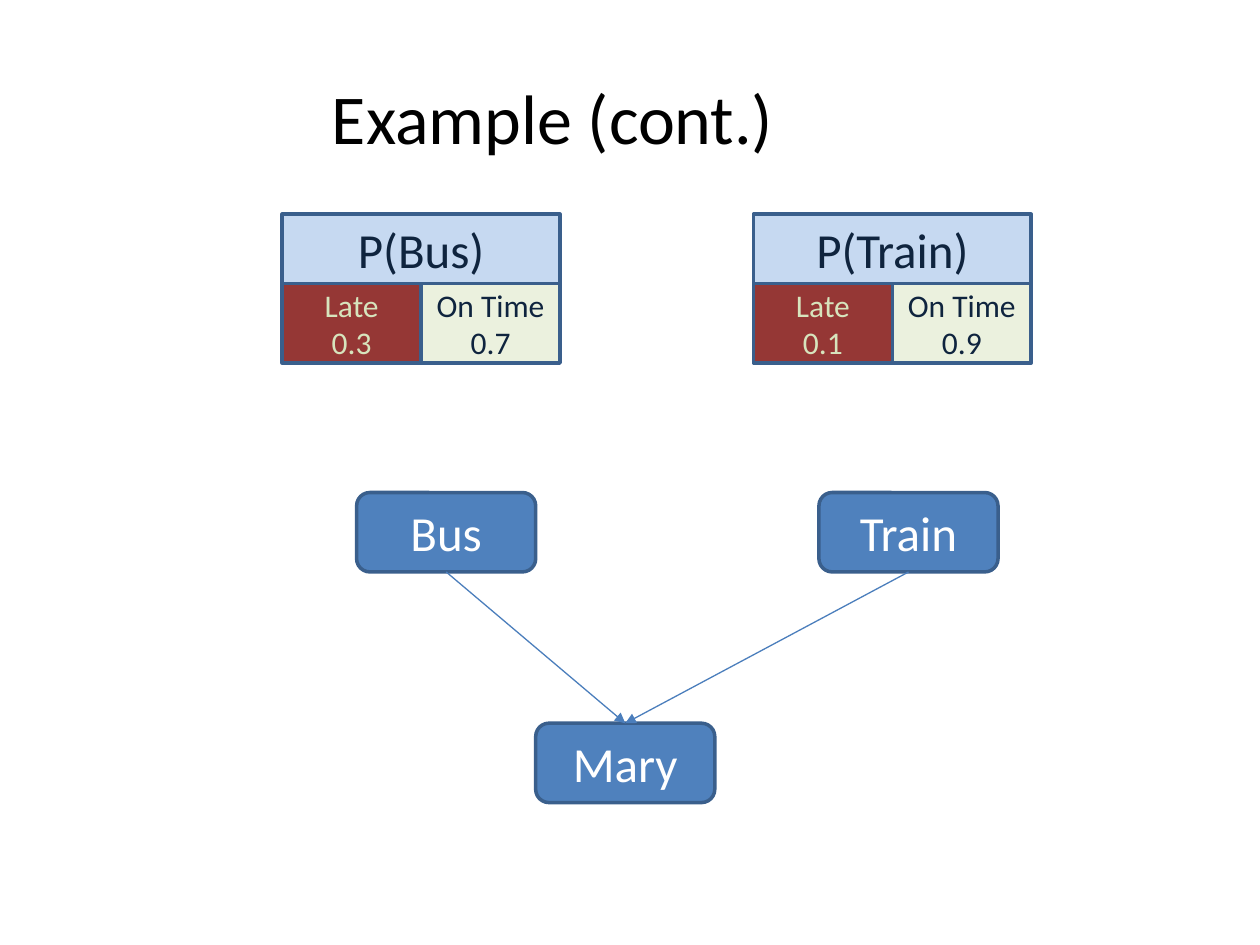
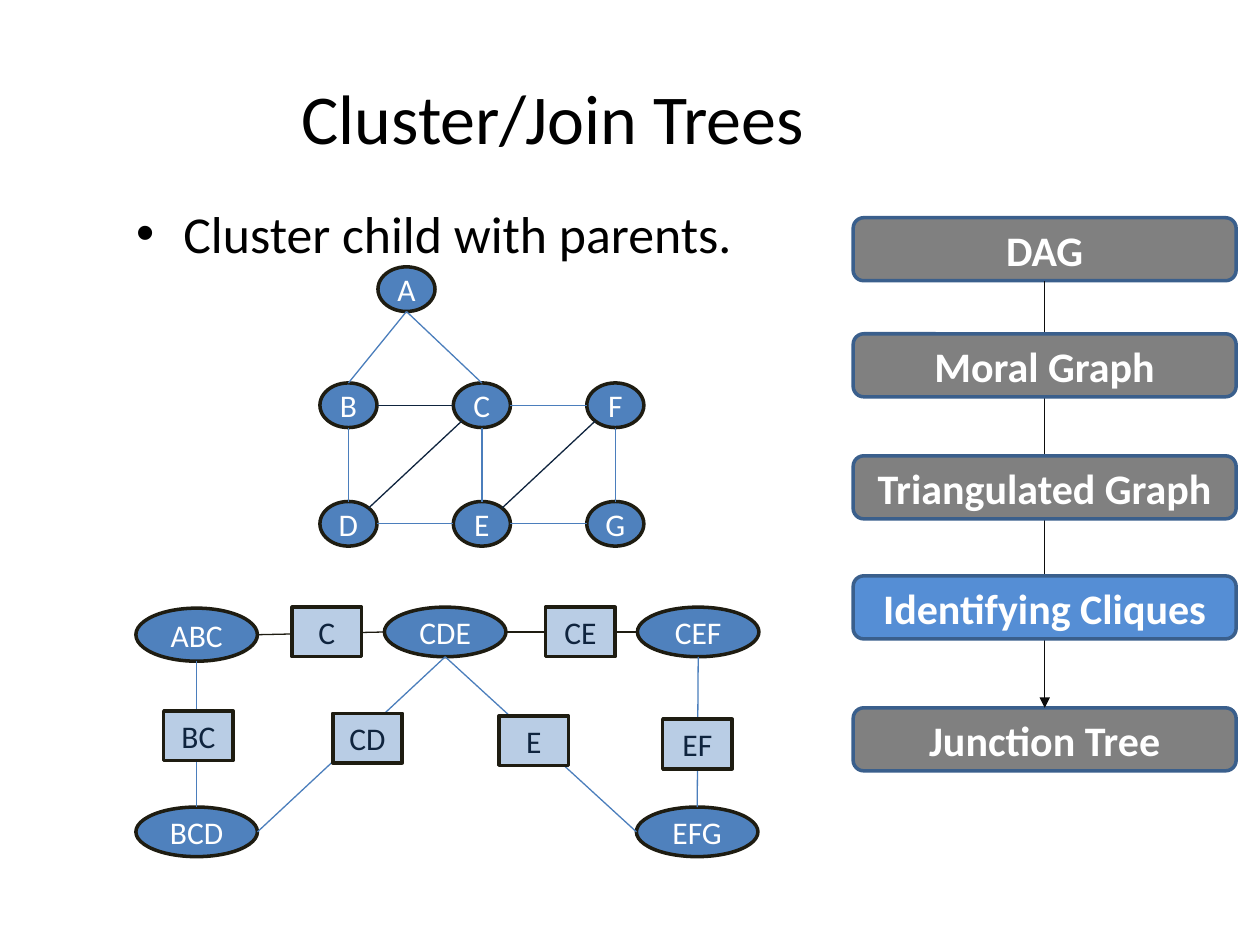
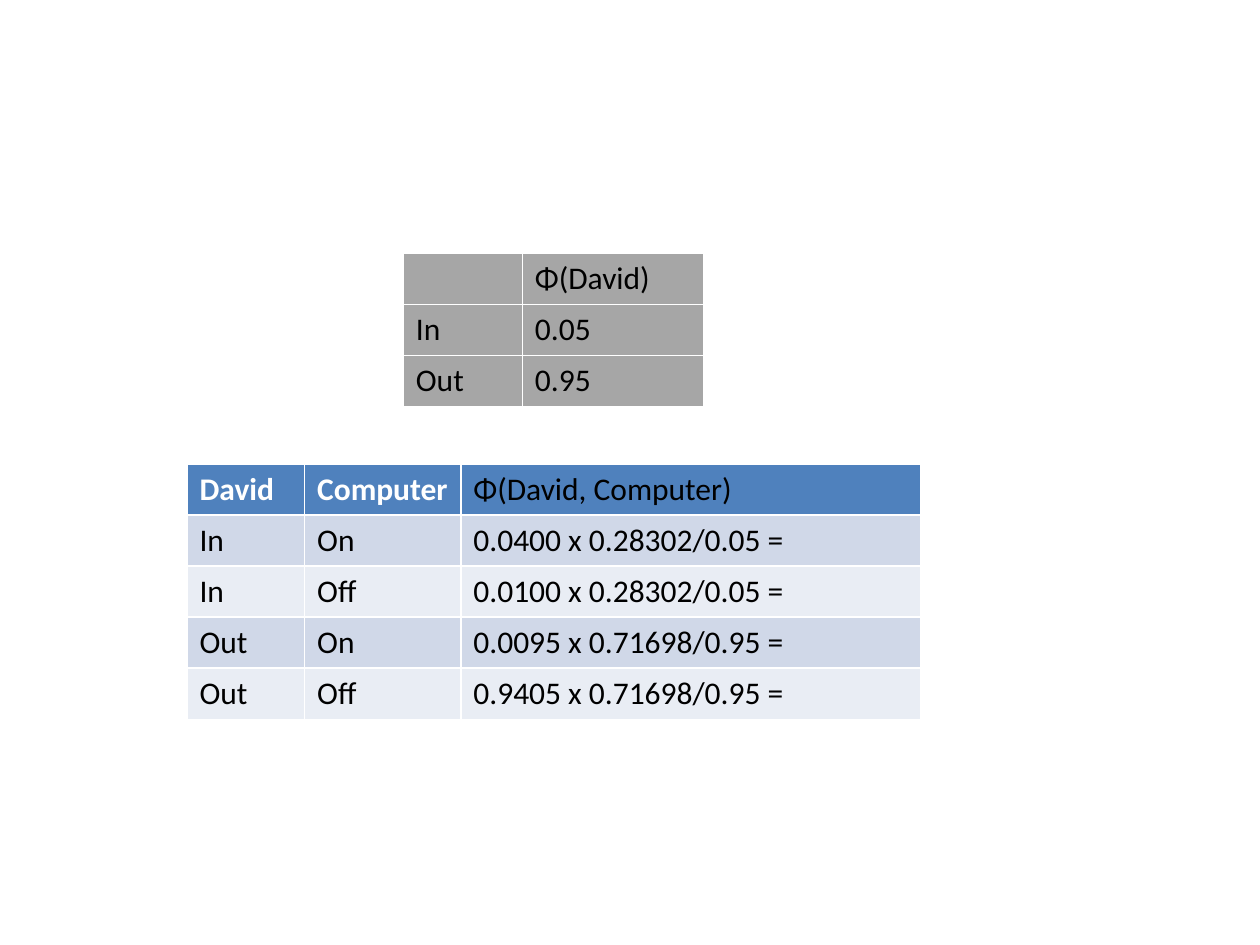
from lxml.etree import SubElement
from pptx import Presentation
from pptx.dml.color import RGBColor
from pptx.enum.shapes import MSO_CONNECTOR, MSO_SHAPE
from pptx.enum.text import MSO_ANCHOR, PP_ALIGN
from pptx.oxml.ns import qn
from pptx.util import Cm, Pt

FONT = "Calibri"
BLACK = RGBColor(0x00, 0x00, 0x00)
WHITE = RGBColor(0xFF, 0xFF, 0xFF)
BLUE = RGBColor(0x4F, 0x81, 0xBD)
EDGE = RGBColor(0x3A, 0x5F, 0x8C)
LINK = RGBColor(0x4B, 0x7E, 0xBC)
NAVY = RGBColor(0x0F, 0x24, 0x3E)
DARK = RGBColor(0x1E, 0x1C, 0x11)
INK = RGBColor(0x0D, 0x0D, 0x0D)
SKY = RGBColor(0xC6, 0xD9, 0xF1)
PALE = RGBColor(0xB9, 0xCD, 0xE5)
CREAM = RGBColor(0xEB, 0xF1, 0xDE)
RED = RGBColor(0x95, 0x37, 0x35)
LIME = RGBColor(0xD7, 0xE4, 0xBD)
GRAY = RGBColor(0x80, 0x80, 0x80)
NOW = RGBColor(0x55, 0x8E, 0xD5)
BAND = RGBColor(0xD0, 0xD8, 0xE8)
LIGHT = RGBColor(0xE9, 0xED, 0xF4)
ASH = RGBColor(0xA6, 0xA6, 0xA6)

RECT, ROUND, OVAL = MSO_SHAPE.RECTANGLE, MSO_SHAPE.ROUNDED_RECTANGLE, MSO_SHAPE.OVAL
SIDES = {"N": (0.5, 0), "S": (0.5, 1), "W": (0, 0.5), "E": (1, 0.5),
         "SW": (0.15, 0.85), "NE": (0.85, 0.15)}


def box(slide, kind, text, place, fill, edge=EDGE, size=28, ink=WHITE, bold=False):
    shape = slide.shapes.add_shape(kind, *[Cm(n) for n in place])
    shape.shadow.inherit = False
    shape.fill.solid()
    shape.fill.fore_color.rgb = fill
    shape.line.color.rgb = edge
    shape.line.width = Pt(2)
    frame = shape.text_frame
    frame.margin_left = frame.margin_right = 0
    frame.vertical_anchor = MSO_ANCHOR.MIDDLE
    frame.text = text
    for para in frame.paragraphs:
        para.alignment = PP_ALIGN.CENTER
        for run in para.runs:
            run.font.name, run.font.size = FONT, Pt(size)
            run.font.color.rgb, run.font.bold = ink, bold
    return shape


def link(slide, start, out, end, into, ink=LINK, arrow=False):
    spots = []
    for shape, side in ((start, out), (end, into)):
        across, down = SIDES[side]
        spots += [int(shape.left + shape.width * across),
                  int(shape.top + shape.height * down)]
    line = slide.shapes.add_connector(MSO_CONNECTOR.STRAIGHT, *spots)
    line.line.color.rgb = ink
    line.line.width = Pt(0.75)
    props = line._element.spPr
    if arrow:
        SubElement(props.find(qn("a:ln")), qn("a:tailEnd"), type="triangle")
    SubElement(props, qn("a:effectLst"))


deck = Presentation()
deck.slide_width, deck.slide_height = Cm(25.4), Cm(19.05)
odds, trees, sums = [deck.slides.add_slide(deck.slide_layouts[n]) for n in (5, 1, 6)]

body = trees.placeholders[1]
for hold, text, place, size in (
    (odds.shapes.title, "Example (cont.)", (2.49, 0.76, 17.3, 3.18), 40),
    (trees.shapes.title, "Cluster/Join Trees", (2.49, 0.76, 17.3, 3.18), 40),
    (body, "Cluster child with parents.", (2.49, 3.94, 12.8, 2.26), 29.6),
):
    hold.left, hold.top, hold.width, hold.height = [Cm(n) for n in place]
    hold.text_frame.text = text
    font = hold.text_frame.paragraphs[0].runs[0].font
    font.name, font.size, font.color.rgb = FONT, Pt(size), BLACK

for name, left, late, good in (("Bus", 5.69, "0.3", "0.7"), ("Train", 15.19, "0.1", "0.9")):
    box(odds, RECT, f"P({name})", (left, 4.32, 5.6, 1.4), SKY, ink=NAVY)
    box(odds, RECT, f"On Time\n{good}", (left + 2.8, 5.72, 2.8, 1.6), CREAM, size=18, ink=NAVY)
    box(odds, RECT, f"Late\n{late}", (left, 5.72, 2.8, 1.6), RED, size=18, ink=LIME)

bus, train, mary = [
    box(odds, ROUND, name, (left, top, 3.61, 1.6), BLUE)
    for name, left, top in (("Bus", 7.19, 9.93), ("Train", 16.51, 9.93), ("Mary", 10.8, 14.58))
]
for cause in (train, bus):
    link(odds, cause, "S", mary, "N", arrow=True)

steps = {}
for name, top in (("DAG", 4.39), ("Junction Tree", 14.27), ("Moral Graph", 6.73),
                  ("Triangulated Graph", 9.19), ("Identifying Cliques", 11.61)):
    fill = NOW if name == "Identifying Cliques" else GRAY
    steps[name] = box(trees, ROUND, name, (17.2, top, 7.72, 1.27), fill, size=24, bold=True)
    if name == "Junction Tree":
        link(trees, steps["DAG"], "S", steps[name], "N", INK, True)

nodes = {"A": box(trees, OVAL, "A", (7.62, 5.38, 1.15, 0.9), BLUE, DARK, 18)}
for row, names in enumerate(("BCF", "DEG")):
    for col, name in enumerate(names):
        place = (6.45 + 2.69 * col, 7.72 + 2.39 * row, 1.15, 0.9)
        nodes[name] = box(trees, OVAL, name, place, BLUE, DARK, 18)

for name, left, top in (("ABC", 2.74, 12.26), ("CDE", 7.75, 12.24), ("CEF", 12.85, 12.24),
                        ("BCD", 2.74, 16.27), ("EFG", 12.83, 16.27)):
    tall = 1.07 if name == "ABC" else 1
    nodes[name] = box(trees, OVAL, name, (left, top, 2.45, tall), BLUE, DARK, 18)

for start, out, end, into, ink in (
    ("A", "S", "B", "N", LINK), ("A", "S", "C", "N", LINK),
    ("B", "S", "D", "N", LINK), ("C", "S", "E", "N", LINK), ("F", "S", "G", "N", LINK),
    ("C", "E", "F", "W", LINK), ("D", "E", "E", "W", LINK), ("E", "E", "G", "W", LINK),
    ("B", "E", "C", "W", NAVY), ("C", "SW", "D", "NE", NAVY), ("F", "SW", "E", "NE", NAVY),
    ("ABC", "E", "CDE", "W", DARK), ("CDE", "E", "CEF", "W", DARK),
    ("ABC", "S", "BCD", "N", LINK), ("CEF", "S", "EFG", "N", LINK),
    ("CDE", "S", "BCD", "E", LINK), ("CDE", "S", "EFG", "W", LINK),
):
    link(trees, nodes[start], out, nodes[end], into, ink)

for name, left, top in (("C", 5.89, 12.24), ("CE", 11, 12.24), ("BC", 3.3, 14.33),
                        ("CD", 6.71, 14.38), ("E", 10.06, 14.43), ("EF", 13.36, 14.5)):
    box(trees, RECT, name, (left, top, 1.4, 1), PALE, DARK, 18, NAVY)

joint = (
    ("David", "Computer", "Φ(David, Computer)"),
    ("In", "On", "0.0400 x 0.28302/0.05 ="),
    ("In", "Off", "0.0100 x 0.28302/0.05 ="),
    ("Out", "On", "0.0095 x 0.71698/0.95 ="),
    ("Out", "Off", "0.9405 x 0.71698/0.95 ="),
)
prior = (("", "Φ(David)"), ("In", "0.05"), ("Out", "0.95"))
for rows, left, top, widths, head, bands in (
    (joint, 3.77, 9.35, (2.37, 3.15, 9.28), BLUE, (LIGHT, BAND)),
    (prior, 8.13, 5.11, (2.4, 3.66), ASH, (ASH, ASH)),
):
    high = 1.03
    table = sums.shapes.add_table(len(rows), len(widths), Cm(left), Cm(top),
                                  Cm(sum(widths)), Cm(high * len(rows))).table
    for col, width in zip(table.columns, widths):
        col.width = Cm(width)
    for r, row in enumerate(rows):
        table.rows[r].height = Cm(high)
        for c, text in enumerate(row):
            cell = table.cell(r, c)
            cell.fill.solid()
            cell.fill.fore_color.rgb = bands[r % 2] if r else head
            cell.text_frame.text = text
            label = r == 0 and not text.startswith("Φ")
            for run in cell.text_frame.paragraphs[0].runs:
                run.font.name, run.font.size, run.font.bold = FONT, Pt(18), label
                run.font.color.rgb = WHITE if label else BLACK

deck.save("out.pptx")
